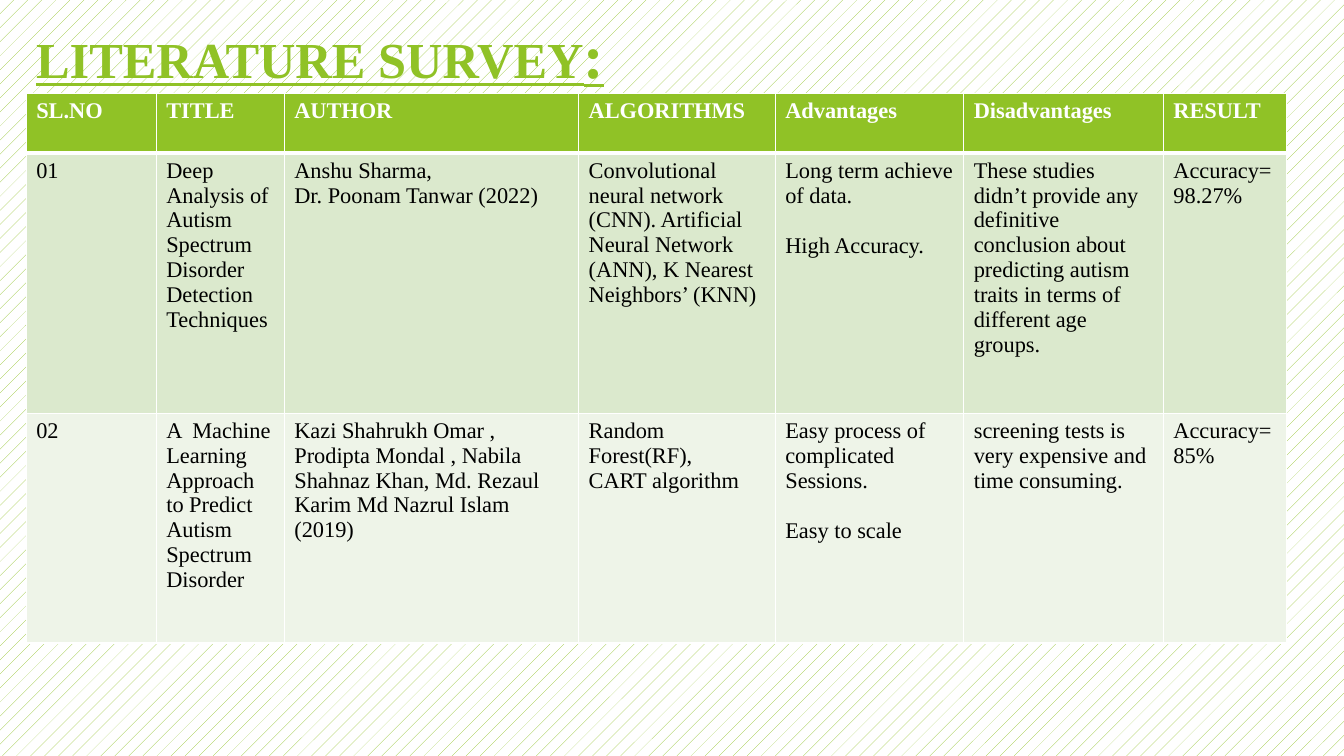
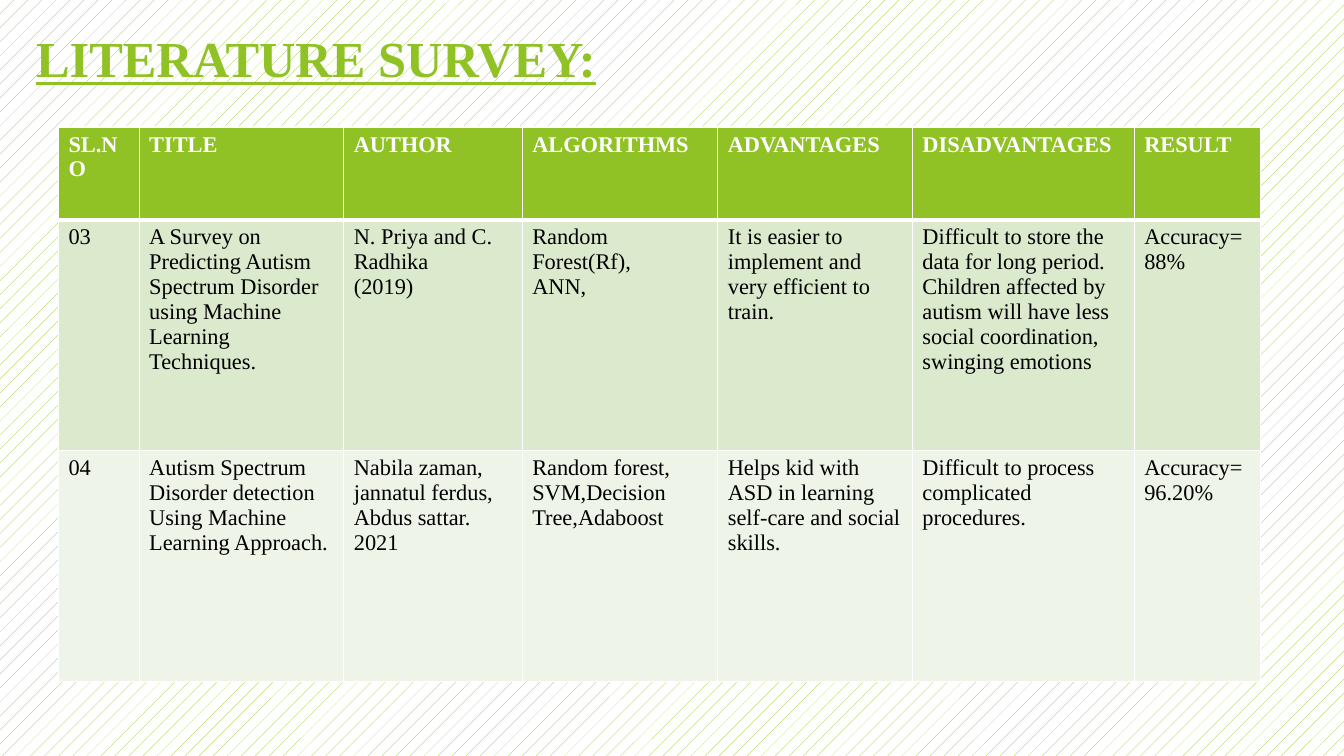
from lxml.etree import SubElement
from pptx import Presentation
from pptx.dml.color import RGBColor
from pptx.enum.dml import MSO_PATTERN
from pptx.enum.text import MSO_ANCHOR
from pptx.oxml.ns import qn
from pptx.util import Emu, Pt

PX = 9144
WHITE = RGBColor(0xFF, 0xFF, 0xFF)
BLACK = RGBColor(0x00, 0x00, 0x00)
GREEN = RGBColor(0x90, 0xC2, 0x26)
BANDS = [RGBColor(0xDB, 0xE9, 0xCD), RGBColor(0xEE, 0xF4, 0xE8)]

FONT = "Times New Roman"
TITLE_FORMAT = {"name": FONT, "size": Pt(36), "bold": True, "underline": True}
HEADER_FORMAT = {"name": FONT, "size": Pt(16), "bold": True}
BODY_FORMAT = {"name": FONT, "size": Pt(16), "bold": False}
BLOCK_GAP = Pt(18)
THIN, THICK = Pt(1), Pt(3)

SURVEYS = [
    {
        "title_top": 12,
        "colon_size": Pt(44),
        "origin": (26, 93),
        "columns": [129, 127, 292, 195, 187, 198, 122],
        "rows": [59, 258, 228],
        "entries": [
            ["SL.NO", "TITLE", "AUTHOR", "ALGORITHMS", "Advantages",
             "Disadvantages", "RESULT"],
            ["01",
             "Deep Analysis of Autism Spectrum Disorder Detection Techniques",
             "Anshu Sharma,\nDr. Poonam Tanwar (2022)",
             "Convolutional neural network (CNN). Artificial Neural Network "
             "(ANN), K Nearest Neighbors’ (KNN)",
             "Long term achieve of data.\n\nHigh Accuracy.",
             "These studies didn’t provide any definitive conclusion about "
             "predicting autism traits in terms of different age groups.",
             "Accuracy=\n98.27%"],
            ["02",
             "A  Machine Learning Approach to Predict Autism Spectrum Disorder",
             "Kazi Shahrukh Omar , Prodipta Mondal , Nabila Shahnaz Khan, "
             "Md. Rezaul Karim Md Nazrul Islam\n(2019)",
             "Random Forest(RF),\nCART algorithm",
             "Easy process of complicated\nSessions.\n\nEasy to scale",
             "screening tests is very expensive and time consuming.",
             "Accuracy=\n85%"],
        ],
    },
    {
        "title_top": 22,
        "colon_size": Pt(36),
        "origin": (58, 126),
        "columns": [80, 203, 177, 194, 193, 220, 125],
        "rows": [92, 229, 229],
        "entries": [
            ["SL.NO", "TITLE", "AUTHOR", "ALGORITHMS", "ADVANTAGES",
             "DISADVANTAGES", "RESULT"],
            ["03",
             "A Survey on Predicting Autism Spectrum Disorder using Machine "
             "Learning Techniques.",
             "N. Priya and C. Radhika\n(2019)",
             "Random Forest(Rf),\nANN,",
             "It is easier to implement and very efficient to train.",
             "Difficult to store the data for long period.\nChildren affected "
             "by autism will have less social coordination, swinging emotions",
             "Accuracy=\n88%"],
            ["04",
             "Autism Spectrum Disorder detection Using Machine Learning Approach.",
             "Nabila zaman, jannatul ferdus, Abdus sattar.\n2021",
             "Random forest,\nSVM,Decision Tree,Adaboost",
             "Helps kid with ASD in learning self-care and social skills.",
             "Difficult to process complicated procedures.",
             "Accuracy=\n96.20%"],
        ],
    },
]


def px(length):
    return Emu(length * PX)


def add_run(paragraph, text, color, text_format):
    run = paragraph.add_run()
    run.text = text
    for attribute, value in text_format.items():
        setattr(run.font, attribute, value)
    run.font.color.rgb = color


def paint_background(slide):
    fill = slide.background.fill
    fill.patterned()
    fill.pattern = MSO_PATTERN.PERCENT_5
    fill.fore_color.rgb = GREEN
    fill.back_color.rgb = WHITE


def add_title(slide, top, colon_size):
    frame = slide.shapes.add_textbox(px(26), px(top), px(1222), px(75)).text_frame
    frame.word_wrap = True
    frame.vertical_anchor = MSO_ANCHOR.TOP
    heading = frame.paragraphs[0]
    add_run(heading, "LITERATURE SURVEY", GREEN, TITLE_FORMAT)
    add_run(heading, ":", GREEN, {**TITLE_FORMAT, "size": colon_size})


def add_borders(cell, top, bottom):
    properties = cell._tc.get_or_add_tcPr()
    for side, width in zip("LRTB", (THIN, THIN, top, bottom)):
        border = SubElement(properties, qn(f"a:ln{side}"), w=str(width))
        paint = SubElement(border, qn("a:solidFill"))
        SubElement(paint, qn("a:srgbClr"), val=str(WHITE))


def write_cell(cell, text, color, text_format):
    frame = cell.text_frame
    paragraph = frame.paragraphs[0]
    for block_index, block in enumerate(text.split("\n\n")):
        for line_index, line in enumerate(block.split("\n")):
            if block_index or line_index:
                paragraph = frame.add_paragraph()
            if block_index and not line_index:
                paragraph.space_before = BLOCK_GAP
            add_run(paragraph, line, color, text_format)


def add_survey_table(slide, origin, columns, rows, entries):
    left, top = origin
    table = slide.shapes.add_table(
        len(rows), len(columns), px(left), px(top),
        px(sum(columns)), px(sum(rows))).table
    table.horz_banding = False
    for column, width in zip(table.columns, columns):
        column.width = px(width)
    for row_index, (height, entry) in enumerate(zip(rows, entries)):
        table.rows[row_index].height = px(height)
        is_header = row_index == 0
        background = GREEN if is_header else BANDS[(row_index - 1) % 2]
        color = WHITE if is_header else BLACK
        text_format = HEADER_FORMAT if is_header else BODY_FORMAT
        for column_index, text in enumerate(entry):
            cell = table.cell(row_index, column_index)
            add_borders(cell,
                        top=THICK if row_index == 1 else THIN,
                        bottom=THICK if is_header else THIN)
            cell.fill.solid()
            cell.fill.fore_color.rgb = background
            write_cell(cell, text, color, text_format)


def main():
    presentation = Presentation()
    presentation.slide_width = px(1333)
    presentation.slide_height = px(750)
    blank = presentation.slide_layouts[6]
    for survey in SURVEYS:
        slide = presentation.slides.add_slide(blank)
        paint_background(slide)
        add_title(slide, survey["title_top"], survey["colon_size"])
        add_survey_table(slide, survey["origin"], survey["columns"],
                         survey["rows"], survey["entries"])
    presentation.save("out.pptx")


if __name__ == "__main__":
    main()
